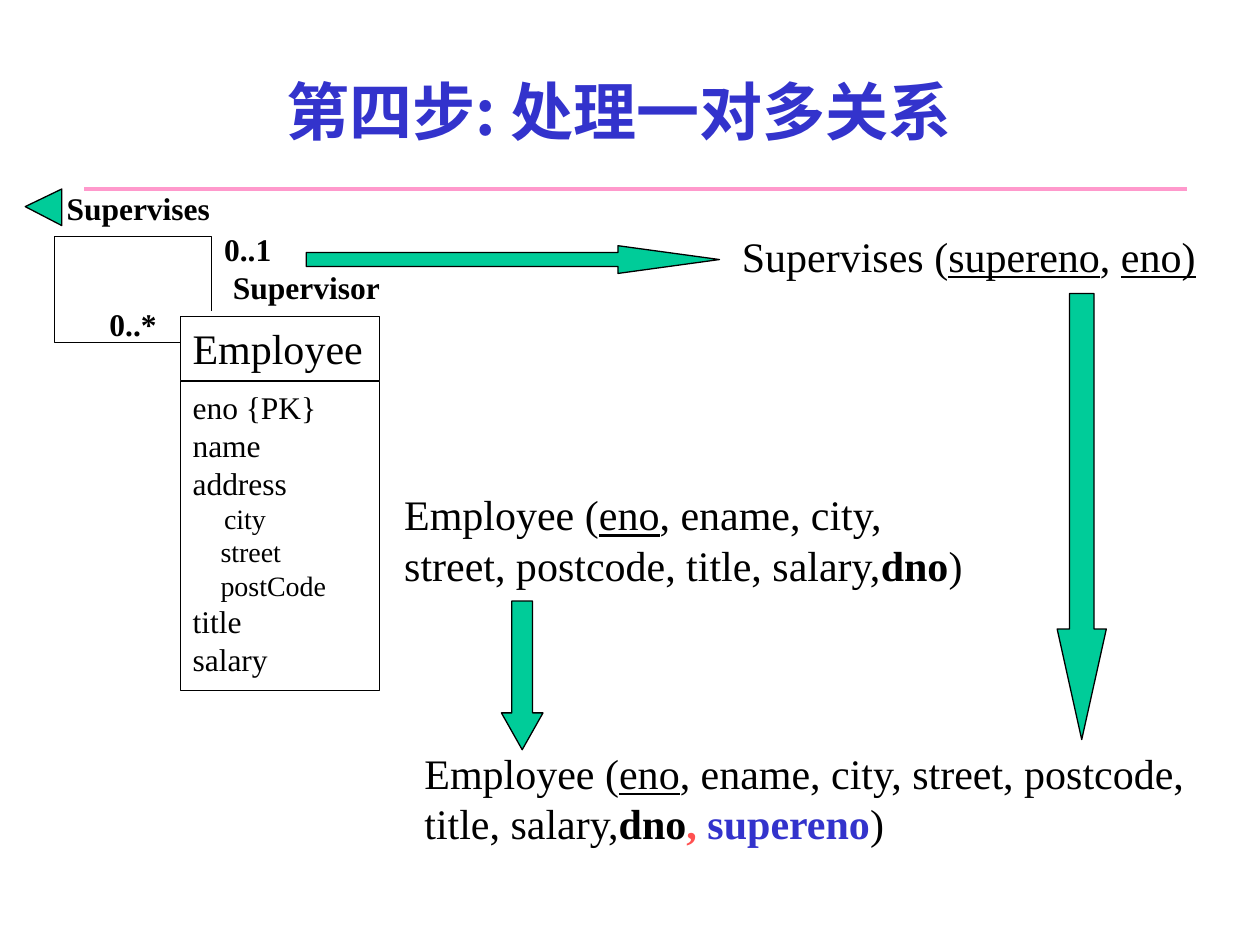
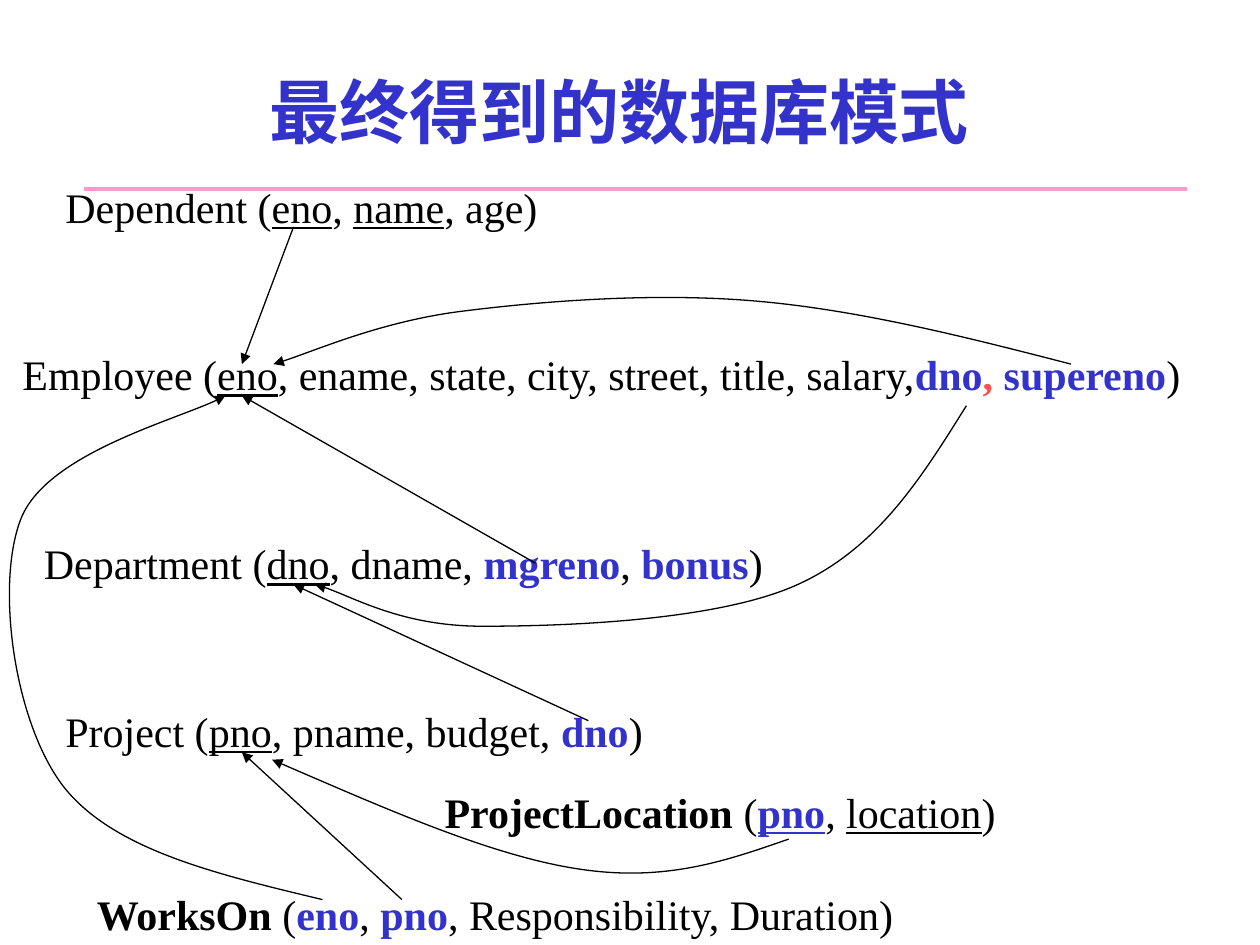
from lxml import etree
from pptx import Presentation
from pptx.dml.color import RGBColor
from pptx.enum.shapes import MSO_CONNECTOR, MSO_SHAPE
from pptx.enum.text import MSO_ANCHOR, MSO_AUTO_SIZE, PP_ALIGN
from pptx.oxml.ns import qn
from pptx.util import Inches, Pt

RECTANGLE = MSO_SHAPE.RECTANGLE
DOWN, RIGHT = MSO_SHAPE.DOWN_ARROW, MSO_SHAPE.RIGHT_ARROW
STRAIGHT = MSO_CONNECTOR.STRAIGHT
TOP, MIDDLE = MSO_ANCHOR.TOP, MSO_ANCHOR.MIDDLE
LEFT, CENTER = PP_ALIGN.LEFT, PP_ALIGN.CENTER
GROW = MSO_AUTO_SIZE.SHAPE_TO_FIT_TEXT

WIDTH, HEIGHT = Inches(10), Inches(7.5)
COLUMNS, ROWS = 100, 75
TITLE_ONLY = 5
COLORS = {"ink": "000000", "blue": "3333CC", "red": "FF5050",
          "green": "00CC99", "pink": "FF99CC"}
TITLE_FONT, BODY_FONT = "Noto Sans CJK SC", "Times New Roman"

# Each mark gives underline, bold and colour of a span.
MARKS = {"key": (True, None, None), "bold": (None, True, None),
         "foreign": (None, True, "blue"), "comma": (None, True, "red"),
         "foreign key": (True, True, "blue")}


def color(name):
    return RGBColor.from_string(COLORS[name])


def key(text):
    return text, "key"


def bold(text):
    return text, "bold"


def foreign(text):
    return text, "foreign"


RED_COMMA = (", ", "comma")


class Schema:
    """Draws on the current page; lengths are grid columns and rows."""

    def __init__(self):
        self.deck = Presentation()
        self.deck.slide_width, self.deck.slide_height = WIDTH, HEIGHT
        self.layout = self.deck.slide_layouts[TITLE_ONLY]
        self.page = None

    def point(self, column, row):
        return round(column * WIDTH / COLUMNS), round(row * HEIGHT / ROWS)

    def frame(self, column, row, columns, rows):
        return *self.point(column, row), *self.point(columns, rows)

    def new_page(self, title, size):
        first = self.page is None
        self.page = self.deck.slides.add_slide(self.layout)
        if first:
            # The rule under the title belongs to the layout of all pages.
            rule = self.line((6.7, 15), (94.2, 15), "pink", 2)
            self.layout.shapes._spTree.append(rule._element)
        box = self.page.shapes.title
        box.left, box.top, box.width, box.height = self.frame(0.8, 2.5, 96.7, 12.5)
        box.text_frame.vertical_anchor = MIDDLE
        para = box.text_frame.paragraphs[0]
        para.alignment = CENTER
        self.add_spans(para, [title], size, TITLE_FONT, "blue", True)
        east_asian = etree.SubElement(para.font._element, qn("a:ea"))
        east_asian.set("typeface", TITLE_FONT)

    def add_spans(self, para, spans, size=24, font=BODY_FONT, ink="ink", heavy=False):
        para.font.name, para.font.size, para.font.bold = font, Pt(size), heavy
        para.font.color.rgb = color(ink)
        for item in spans:
            text, mark = (item, None) if isinstance(item, str) else item
            span = para.add_run()
            span.text = text
            if mark:
                underline, strong, tint = MARKS[mark]
                span.font.underline, span.font.bold = underline, strong
                if tint:
                    span.font.color.rgb = color(tint)

    def text(self, place, *spans, wrap=False, **style):
        box = self.page.shapes.add_textbox(*self.frame(*place))
        box.text_frame.word_wrap = wrap
        box.text_frame.auto_size = GROW
        self.add_spans(box.text_frame.paragraphs[0], spans, **style)

    def label(self, place, text):
        self.text(place, text, size=18, heavy=True)

    def finish(self, shape, fill=None):
        shape.shadow.inherit = False
        if fill:
            shape.fill.solid()
            shape.fill.fore_color.rgb = color(fill)
        else:
            shape.fill.background()
        self.stroke(shape)

    def stroke(self, shape, ink="ink", width=0.75):
        shape.line.color.rgb = color(ink)
        shape.line.width = Pt(width)

    def point_end(self, shape):
        """Puts a triangle at the end of a line."""
        outline = shape._element.spPr.find(qn("a:ln"))
        etree.SubElement(outline, qn("a:tailEnd")).set("type", "triangle")

    def line(self, start, end, ink="ink", width=0.75):
        line = self.page.shapes.add_connector(
            STRAIGHT, *self.point(*start), *self.point(*end))
        self.stroke(line, ink, width)
        etree.SubElement(line._element.spPr, qn("a:effectLst"))
        return line

    def reference(self, start, end):
        self.point_end(self.line(start, end))

    def block_arrow(self, kind, place, head):
        arrow = self.page.shapes.add_shape(kind, *self.frame(*place))
        arrow.adjustments[0], arrow.adjustments[1] = 0.5, head
        self.finish(arrow, "green")

    def entity_box(self, place, lines):
        """Lines are (text, size, indent in points)."""
        box = self.page.shapes.add_shape(RECTANGLE, *self.frame(*place))
        self.finish(box)
        frame = box.text_frame
        frame.word_wrap, frame.vertical_anchor = True, TOP
        for number, (text, size, indent) in enumerate(lines):
            para = frame.add_paragraph() if number else frame.paragraphs[0]
            para.alignment = LEFT
            self.add_spans(para, [text], size)
            if indent:
                para._p.get_or_add_pPr().set("marL", str(Pt(indent)))

    def outline(self, points, fill=None, close=False):
        start, *rest = [self.point(*spot) for spot in points]
        builder = self.page.shapes.build_freeform(*start)
        builder.add_line_segments(rest, close=close)
        shape = builder.convert_to_shape()
        self.finish(shape, fill)
        return shape

    def curved_reference(self, *points):
        """Takes a start, then two control points and an end per curve."""
        shape = self.outline(points)
        track = next(shape._element.iter(qn("a:path")))
        steps = track.findall(qn("a:lnTo"))
        for first in range(0, len(steps), 3):
            curve = etree.SubElement(track, qn("a:cubicBezTo"))
            for step in steps[first:first + 3]:
                curve.append(step[0])
                track.remove(step)
        self.point_end(shape)


def one_to_many_page(schema):
    schema.new_page("第四步: 处理一对多关系", 36)
    schema.block_arrow(DOWN, (39.8, 47.7, 3.3, 11.8), 0.885)
    schema.entity_box((14.3, 25.1, 15.8, 5.1), [("Employee", 24, 0)])
    schema.entity_box((14.3, 30.3, 15.8, 24.5), [
        ("eno {PK}", 18, 0), ("name", 18, 0), ("address", 18, 0),
        ("city", 16, 18), ("street", 16, 16), ("postCode", 16, 16),
        ("title", 18, 0), ("salary", 18, 0)])
    schema.outline([(16.8, 24.7), (16.8, 18.8), (4.3, 18.8),
                    (4.3, 27.2), (14.3, 27.2)])
    schema.label((17.5, 20.8, 13.7, 4), "Supervisor")
    schema.label((4.3, 14.5, 13.4, 4), "Supervises")
    schema.label((16.8, 17.8, 5.8, 4), "0..1")
    schema.label((7.7, 23.7, 5.8, 4), "0..*")
    schema.text((57.9, 17.8, 38, 5),
                "Supervises (", key("supereno"), ", ", key("eno)"))
    schema.block_arrow(RIGHT, (24.3, 19.5, 32.8, 2.2), 3.657)
    before = ["Employee (", key("eno"),
              ", ename, city, street, postcode, title, salary,", bold("dno")]
    schema.text((32.7, 58.8, 64.6, 9), *before, RED_COMMA,
                foreign("supereno"), ")", wrap=True)
    schema.text((31.1, 38.3, 47.4, 9), *before, ")", wrap=True)
    schema.block_arrow(DOWN, (83.9, 23.3, 3.9, 35.4), 2.248)
    schema.outline([(4.9, 15), (2, 16.4), (4.9, 17.9)], "green", close=True)


def final_schema_page(schema):
    schema.new_page("最终得到的数据库模式", 40)
    schema.text((0.8, 27.2, 94.2, 5), "Employee (", key("eno"),
                ", ename, state, city, street, title, salary,",
                foreign("dno"), RED_COMMA, foreign("supereno"), ")", wrap=True)
    schema.text((4.2, 55.5, 49.2, 5), "Project (", key("pno"),
                ", pname, budget, ", foreign("dno"), ")", wrap=True)
    schema.text((4.2, 13.9, 39.5, 5), "Dependent (", key("eno"), ", ",
                key("name"), ", age)")
    schema.text((2.5, 42.2, 59.1, 5), "Department (", key("dno"), ", dname, ",
                foreign("mgreno"), ", ", foreign("bonus"), ")")
    for start, end in [((23.3, 18), (19.2, 28.9)), ((46.7, 57.2), (23.3, 46.4)),
                       ((42.5, 44.7), (19.2, 31.4)), ((31.9, 71.4), (19.2, 59.7))]:
        schema.reference(start, end)
    schema.curved_reference(
        (85, 28.9), (76.5, 26.7), (68.1, 24.6), (60, 23.9),
        (51.9, 23.2), (43.1, 23.9), (36.7, 24.7),
        (30.3, 25.5), (24.2, 28.2), (21.7, 28.9))
    schema.curved_reference(
        (76.7, 32.2), (73.2, 37.8), (69.7, 43.5), (63.3, 46.4),
        (56.9, 49.3), (44.7, 49.7), (38.3, 49.7),
        (31.9, 49.7), (27.2, 46.9), (25, 46.4))
    schema.text((6.7, 70, 65.6, 5), bold("WorksOn"), " (", foreign("eno"), ", ",
                foreign("pno"), ", Responsibility, Duration)")
    schema.curved_reference(
        (25.6, 71.4), (17.3, 69.4), (9.1, 67.5), (5.1, 62.5),
        (1.1, 57.4), (-0.4, 46.3), (1.7, 41.1),
        (3.8, 36), (15.2, 33), (17.9, 31.4))
    schema.text((34.3, 61.9, 45.8, 5), bold("ProjectLocation "), "(",
                ("pno", "foreign key"), ", ", key("location"), ")")
    schema.curved_reference(
        (62.6, 66.6), (57.7, 68.3), (52.9, 70), (46.1, 69),
        (39.2, 68), (30.4, 64.1), (21.6, 60.3))


def main():
    schema = Schema()
    one_to_many_page(schema)
    final_schema_page(schema)
    schema.deck.save("out.pptx")


if __name__ == "__main__":
    main()
